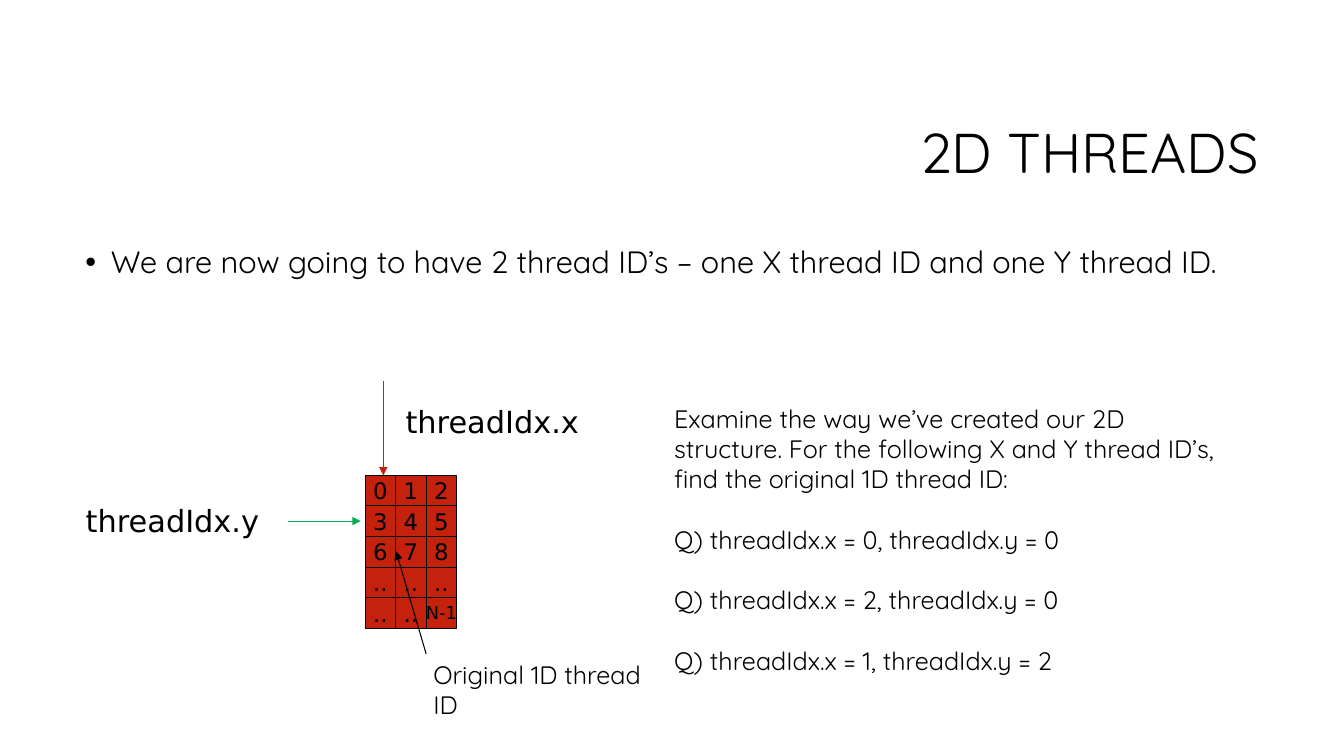
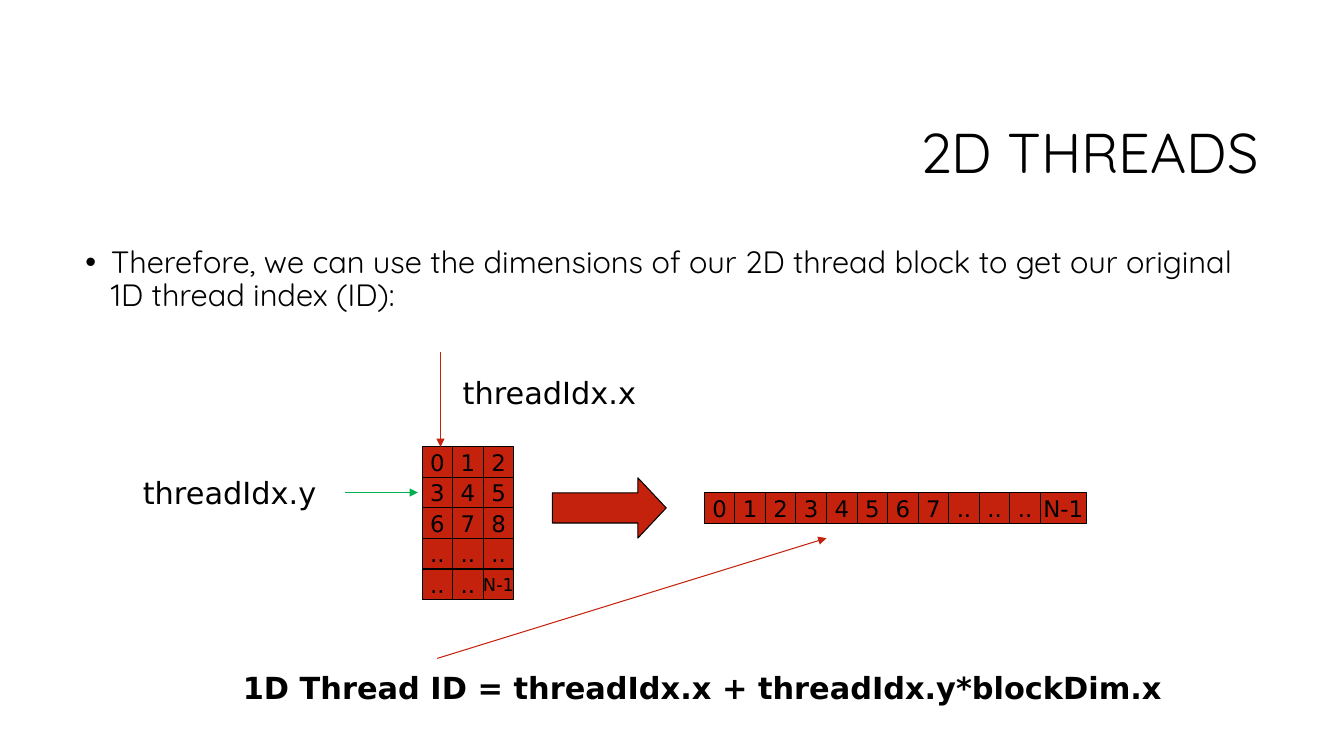
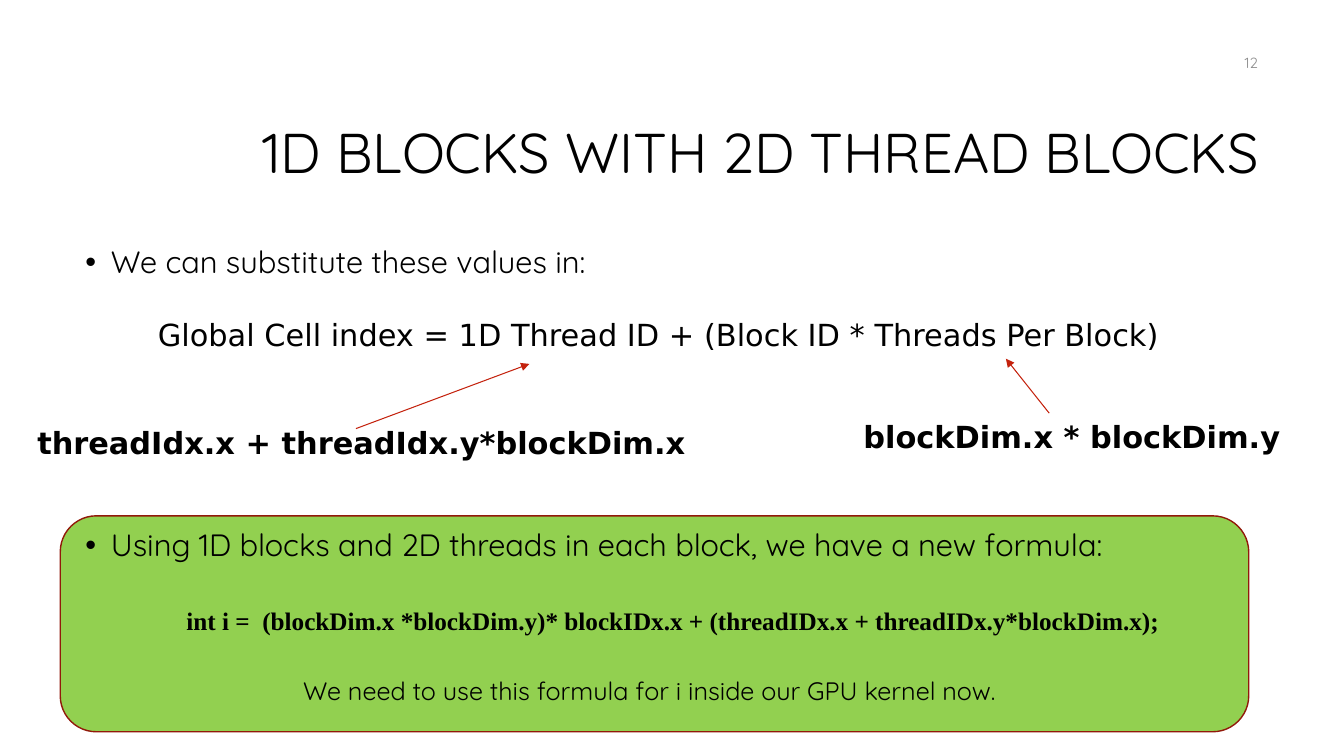
from lxml import etree
from pptx import Presentation
from pptx import util as u
from pptx.dml.color import RGBColor
from pptx.enum import shapes, text
from pptx.oxml.ns import qn

Cm = u.Cm
BLACK = RGBColor(0x00, 0x00, 0x00)
RED = RGBColor(0xC4, 0x22, 0x0D)
DARK_RED = RGBColor(0x91, 0x19, 0x0A)
GREEN = RGBColor(0x00, 0xB0, 0x50)
LIME = RGBColor(0x92, 0xD0, 0x50)
GREY = RGBColor(0x8C, 0x8C, 0x8C)

SANS, CODE, SERIF = "Quicksand", "DejaVu Sans", "Times New Roman"
CELL = 0.77  # side of a thread cell, in cm


def write(tf, lines, size=18, font=SANS, color=BLACK, bold=False,
          align=text.PP_ALIGN.LEFT, anchor=text.MSO_ANCHOR.TOP,
          wrap=True, spacing=None, before=()):
    """Fill a text frame with one paragraph per line; before lists the gaps."""
    tf.word_wrap = wrap
    tf.auto_size = text.MSO_AUTO_SIZE.NONE
    tf.vertical_anchor = anchor
    for i, line in enumerate(lines):
        p = tf.paragraphs[0] if i == 0 else tf.add_paragraph()
        p.alignment = align
        if spacing:
            p.line_spacing = spacing
        p.space_before = u.Pt(before[i] if i < len(before) else 0)
        r = p.add_run()
        r.text = line
        f = r.font
        f.name, f.size, f.bold = font, u.Pt(size), bold
        f.color.rgb = color


class Deck:
    """The deck's style and the slide being built; lengths are in cm."""

    def __init__(self):
        self.prs = Presentation()
        self.prs.slide_width, self.prs.slide_height = Cm(33.87), Cm(19.05)
        self.s = None

    def place(self, sp, x, y, w, h):
        sp.left, sp.top, sp.width, sp.height = Cm(x), Cm(y), Cm(w), Cm(h)

    def slide(self, title, bullets, title_x=8.05, before=(10,)):
        self.s = self.prs.slides.add_slide(self.prs.slide_layouts[1])
        head, body = self.s.placeholders
        self.place(head, title_x, 2.13, 31.97 - title_x, 3.58)
        write(head.text_frame, [title], size=40, align=text.PP_ALIGN.RIGHT,
              anchor=text.MSO_ANCHOR.MIDDLE, spacing=0.9)
        self.place(body, 1.9, 6.1, 30.05, 11.18)
        write(body.text_frame, bullets, size=22, spacing=0.9, before=before)
        for p in body.text_frame.paragraphs:
            pPr = p._p.get_or_add_pPr()
            pPr.set("marL", str(Cm(0.64)))
            pPr.set("indent", str(Cm(-0.64)))

    def label(self, lines, x, y, w, h=1.2, **fmt):
        sp = self.s.shapes.add_textbox(Cm(x), Cm(y), Cm(w), Cm(h))
        write(sp.text_frame, lines, **fmt)

    def code(self, line, x, y, w, bold=False):
        self.label([line], x, y, w, size=21.75, font=CODE, bold=bold)

    def shape(self, kind, x, y, w, h, fill=RED, line=BLACK, width=0.75):
        sp = self.s.shapes.add_shape(kind, Cm(x), Cm(y), Cm(w), Cm(h))
        sp.shadow.inherit = False
        sp.fill.solid()
        sp.fill.fore_color.rgb = fill
        sp.line.color.rgb = line
        sp.line.width = u.Pt(width)
        return sp

    def cell(self, value, x, y, w=CELL, size=16.3):
        sp = self.shape(shapes.MSO_SHAPE.RECTANGLE, x, y, w, CELL)
        tf = sp.text_frame
        tf.margin_left = tf.margin_right = tf.margin_top = tf.margin_bottom = 0
        write(tf, [value], size=size, font=CODE, wrap=False,
              align=text.PP_ALIGN.CENTER, anchor=text.MSO_ANCHOR.MIDDLE)

    def arrow(self, x1, y1, x2, y2, color=RED):
        c = self.s.shapes.add_connector(shapes.MSO_CONNECTOR.STRAIGHT,
                                        Cm(x1), Cm(y1), Cm(x2), Cm(y2))
        c.line.color.rgb = color
        c.line.width = u.Pt(0.75)
        spPr = c.element.spPr
        etree.SubElement(spPr.find(qn("a:ln")), qn("a:tailEnd"), type="triangle")
        etree.SubElement(spPr, qn("a:effectLst"))

    def thread_block(self, x, y):
        """A 3 by 5 block of threads with its two index arrows."""
        values = [*"012345678", *[".."] * 5, "N-1"]
        for i, value in enumerate(values):
            row, col = divmod(i, 3)
            self.cell(value, x + col * CELL, y + row * CELL,
                      size=12.7 if value == "N-1" else 16.3)
        self.arrow(x + 0.46, y - 2.38, x + 0.46, y)
        self.code("threadIdx.x", x + CELL, y - 1.95, 6.32)
        self.arrow(x - 1.95, y + 1.15, x - 0.11, y + 1.15, GREEN)
        self.code("threadIdx.y", x - 7.29, y + 0.55, 6.32)

    def thread_row(self, x, y):
        """The same threads in one row; the last cell is wider."""
        values = [*"01234567", "..", "..", "..", "N-1"]
        for i, value in enumerate(values):
            self.cell(value, x + i * CELL, y,
                      w=1.5 * CELL if value == "N-1" else CELL)


def main():
    d = Deck()

    # 2D block with questions
    d.slide("2D THREADS", ["We are now going to have 2 thread ID’s – "
                           "one X thread ID and one Y thread ID."])
    d.thread_block(9.2, 11.98)
    questions = [f"Q) threadIdx.x = {x}, threadIdx.y = {y}"
                 for x, y in ((0, 0), (2, 0), (1, 2))]
    d.label(["Examine the way we’ve created our 2D structure. For the following "
             "X and Y thread ID’s, find the original 1D thread ID:", *questions],
            16.74, 10.03, 14.27, 7.19, before=(0, 21.6, 21.6, 21.6))
    d.label(["Original 1D thread ID"], 10.67, 16.48, 6.02, 1.8)
    d.arrow(10.74, 16.48, 9.98, 13.89, BLACK)

    # 2D block flattened to one row
    d.slide("2D THREADS", ["Therefore, we can use the dimensions of our 2D thread "
                           "block to get our original 1D thread index (ID):"])
    d.thread_block(10.64, 11.26)
    d.thread_row(17.75, 12.42)
    big_arrow = d.shape(shapes.MSO_SHAPE.RIGHT_ARROW, 13.92, 12.04, 2.87, 1.52)
    big_arrow.adjustments[1] = 0.47
    d.code("1D Thread ID = threadIdx.x + threadIdx.y*blockDim.x",
           5.87, 16.74, 25.3, bold=True)
    d.arrow(11.02, 16.59, 20.83, 13.56)

    # Global index formula
    d.slide("1D BLOCKS WITH 2D THREAD BLOCKS",
            ["We can substitute these values in:",
             "Using 1D blocks and 2D threads in each block, we have a new formula:"],
            title_x=5.64, before=(10, 178.5))
    panel = d.shape(shapes.MSO_SHAPE.ROUNDED_RECTANGLE, 1.52, 13, 29.95, 5.44,
                    LIME, DARK_RED, 1)
    d.s.shapes.title.element.addprevious(panel.element)  # behind the text
    d.label(["12"], 24.33, 1.07, 7.62, 1.02, size=10.5, color=GREY,
            align=text.PP_ALIGN.RIGHT, anchor=text.MSO_ANCHOR.MIDDLE)
    d.code("Global Cell index = 1D Thread ID + (Block ID * Threads Per Block)",
           3.73, 7.85, 27.58)
    d.code("threadIdx.x + threadIdx.y*blockDim.x", 0.69, 10.57, 25.3, bold=True)
    d.code("blockDim.x * blockDim.y", 21.51, 10.41, 12.34, bold=True)
    d.arrow(26.44, 10.41, 25.35, 9.04)
    d.arrow(8.97, 10.8, 13.34, 9.17)
    d.label(["int i =  (blockDim.x *blockDim.y)* blockIDx.x + "
             "(threadIDx.x + threadIDx.y*blockDim.x);"],
            4.45, 15.14, 26.24, font=SERIF, bold=True)
    d.label(["We need to use this formula for i inside our GPU kernel now."],
            7.39, 16.89, 20.75)

    d.prs.save("out.pptx")


if __name__ == "__main__":
    main()
